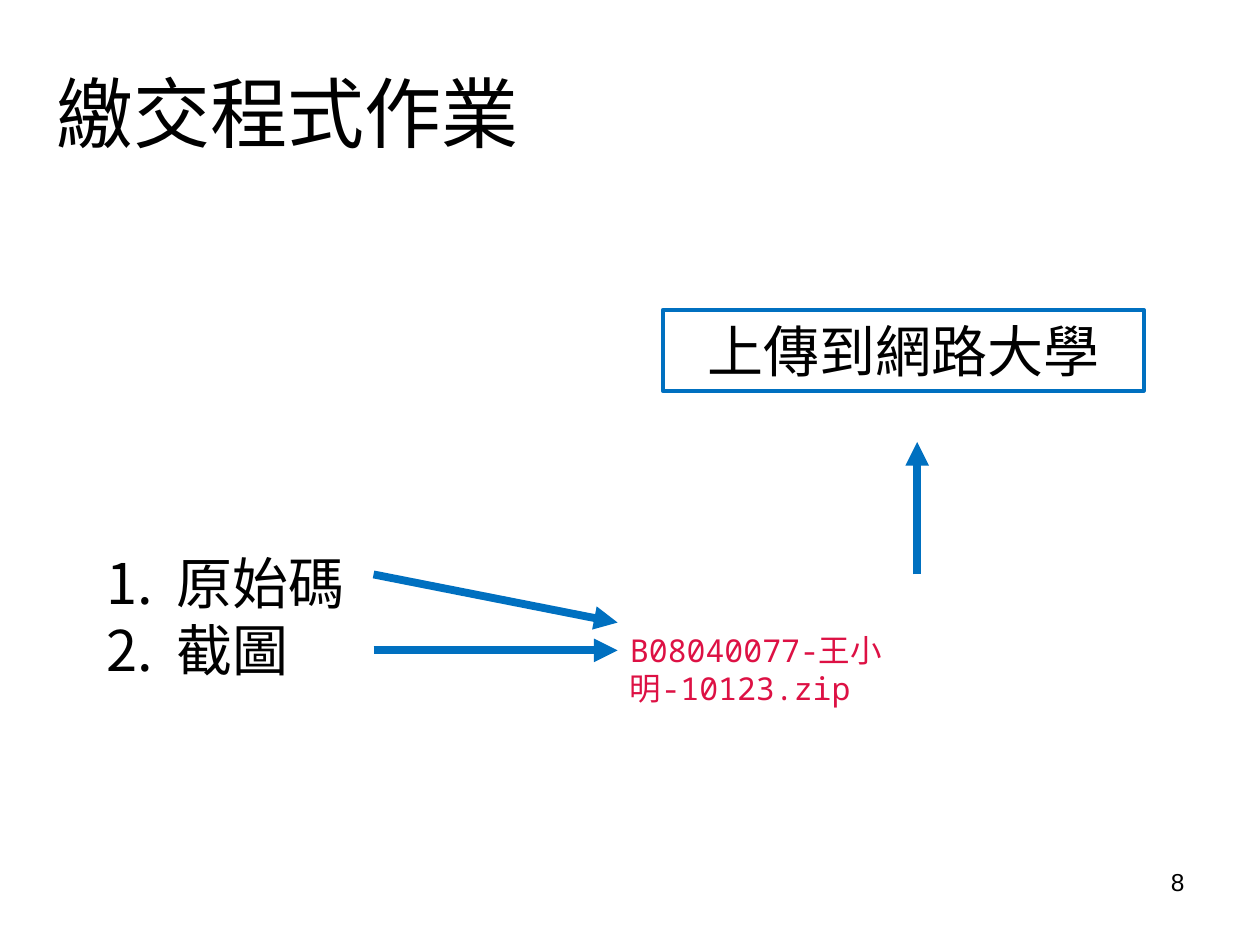
from dataclasses import dataclass

from lxml import etree
from pptx import Presentation
from pptx.dml.color import RGBColor
from pptx.enum.shapes import MSO_CONNECTOR, MSO_SHAPE
from pptx.enum.text import MSO_ANCHOR, MSO_AUTO_SIZE, PP_ALIGN
from pptx.oxml.ns import qn
from pptx.util import Cm, Pt

STRAIGHT = MSO_CONNECTOR.STRAIGHT
RECTANGLE = MSO_SHAPE.RECTANGLE
TOP, MIDDLE = MSO_ANCHOR.TOP, MSO_ANCHOR.MIDDLE
LEFT, CENTER, RIGHT = PP_ALIGN.LEFT, PP_ALIGN.CENTER, PP_ALIGN.RIGHT


@dataclass(frozen=True)
class Theme:
    ink: RGBColor = RGBColor(0x00, 0x00, 0x00)
    accent: RGBColor = RGBColor(0x00, 0x70, 0xC0)
    code: RGBColor = RGBColor(0xDD, 0x11, 0x44)
    title_font: str = "Cabin"
    body_font: str = "Times New Roman"
    code_font: str = "Noto Sans Mono"
    number_font: str = "Arial"
    title_size: int = 44
    body_size: int = 32
    code_size: int = 18
    number_size: int = 14
    arrow_width: float = 4.5
    border_width: float = 2.25


THEME = Theme()


def place(shape, box):
    shape.left, shape.top, shape.width, shape.height = (Cm(n) for n in box)


def write(shape, *lines, font, size, color=THEME.ink, align=LEFT, anchor=TOP,
          numbered_indent=None):
    """Fill a shape with one paragraph per line, numbered if an indent is given."""
    frame = shape.text_frame
    frame.word_wrap = True
    frame.auto_size = MSO_AUTO_SIZE.NONE
    frame.vertical_anchor = anchor
    for index, line in enumerate(lines):
        para = frame.paragraphs[0] if index == 0 else frame.add_paragraph()
        para.alignment = align
        para.space_before = Pt(0)
        if numbered_indent:
            number(para, numbered_indent, font)
        span = para.add_run()
        span.text = line
        span.font.name = font
        span.font.size = Pt(size)
        span.font.color.rgb = color


def number(para, indent, font):
    """Number a paragraph with a hanging indent."""
    props = para._p.get_or_add_pPr()
    props.set("marL", str(Cm(indent)))
    props.set("indent", str(-Cm(indent)))
    etree.SubElement(props, qn("a:buFont"), typeface=font)
    etree.SubElement(props, qn("a:buAutoNum"), type="arabicPeriod")


def add_arrow(page, start, end):
    arrow = page.shapes.add_connector(STRAIGHT, *(Cm(n) for n in start + end))
    arrow.line.color.rgb = THEME.accent
    arrow.line.width = Pt(THEME.arrow_width)
    etree.SubElement(arrow.line._get_or_add_ln(), qn("a:tailEnd"), type="triangle")
    etree.SubElement(arrow._element.spPr, qn("a:effectLst"))


def add_heading(page, box):
    place(page.shapes.title, box)
    write(page.shapes.title, "繳交程式作業", font=THEME.title_font,
          size=THEME.title_size, anchor=MIDDLE)


def add_file_list(page, box):
    files = page.placeholders[1]
    place(files, box)
    write(files, "原始碼", "截圖", font=THEME.body_font, size=THEME.body_size,
          numbered_indent=1.4)


def add_archive_name(page, box):
    archive = page.shapes.add_textbox(0, 0, 0, 0)
    place(archive, box)
    archive.text_frame.margin_right = Cm(3.4)  # breaks the name over two lines
    write(archive, "B08040077-王小明-10123.zip", font=THEME.code_font,
          size=THEME.code_size, color=THEME.code)


def add_upload_target(page, box):
    target = page.shapes.add_shape(RECTANGLE, 0, 0, 0, 0)
    place(target, box)
    target.shadow.inherit = False
    target.fill.background()
    target.line.color.rgb = THEME.accent
    target.line.width = Pt(THEME.border_width)
    write(target, "上傳到網路大學", font=THEME.body_font, size=THEME.body_size,
          align=CENTER)


def add_flow(page, box):
    """Files on the left go into the archive, which goes up to the target."""
    left, top, width, height = box
    archive_left = left + 10.55
    list_top = top + 4.67
    arrow_left = left + 5.63
    upload_x = left + 16.59
    arrow_y = list_top + 0.66

    add_file_list(page, (left, list_top, 12.7, 2.97))
    add_archive_name(page, (archive_left, top + 6.35, 9.27, 1.02))

    add_arrow(page, (arrow_left, arrow_y), (archive_left, arrow_y + 0.97))
    add_arrow(page, (arrow_left, arrow_y + 1.53), (archive_left, arrow_y + 1.53))
    add_arrow(page, (upload_x, arrow_y), (upload_x, arrow_y - 2.67))

    target_width = 9.7
    add_upload_target(page, (left + width - target_width, top, target_width, 1.63))


def add_page_number(page, box):
    label = page.shapes.add_textbox(0, 0, 0, 0)
    place(label, box)
    write(label, "8", font=THEME.number_font, size=THEME.number_size, align=RIGHT)


def main():
    deck = Presentation()
    deck.slide_width, deck.slide_height = Cm(25.4), Cm(19.05)
    page = deck.slides.add_slide(deck.slide_layouts[1])
    add_heading(page, (0.89, 0.89, 21.59, 2.72))
    add_flow(page, (1.9, 6.25, 21.16, 7.64))
    add_page_number(page, (18.21, 17.35, 5.92, 1.32))
    deck.save("out.pptx")


if __name__ == "__main__":
    main()
